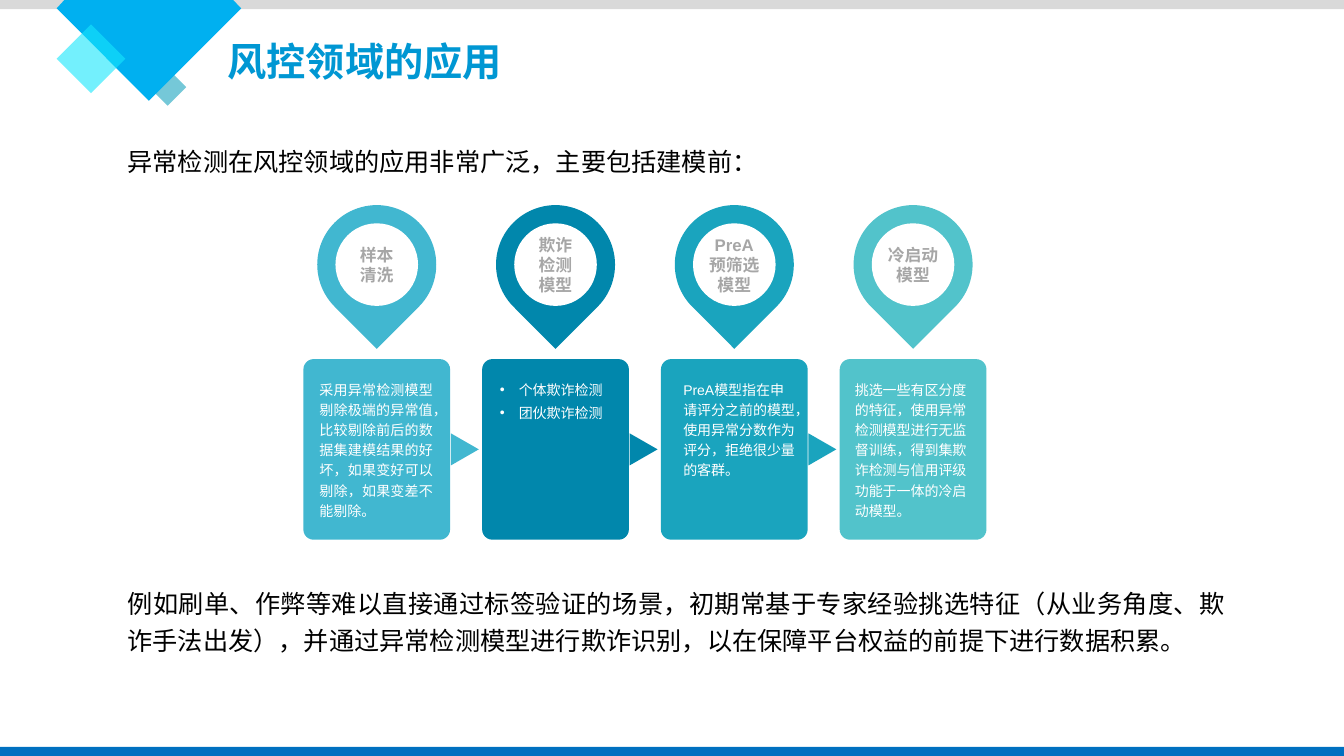
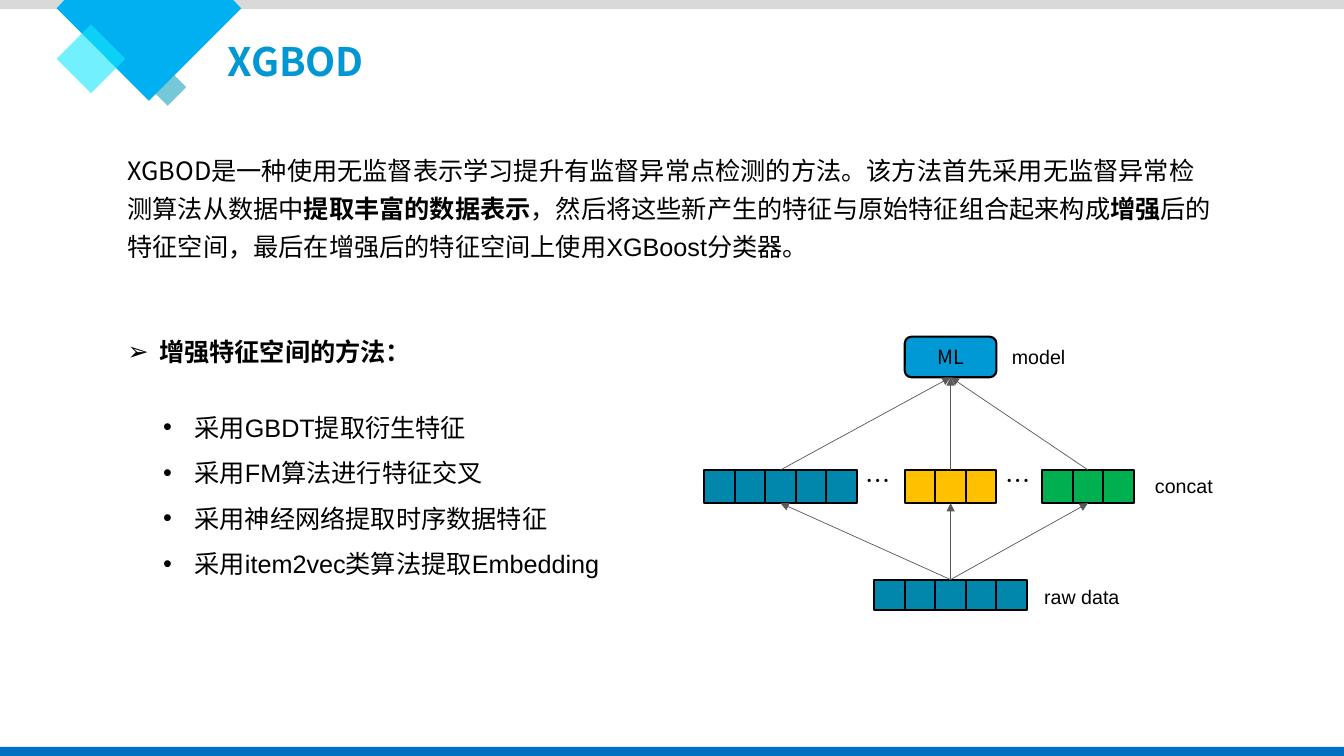
from lxml.etree import SubElement
from pptx import Presentation
from pptx.dml.color import RGBColor
from pptx.enum.shapes import MSO_CONNECTOR, MSO_SHAPE
from pptx.enum.text import MSO_ANCHOR, PP_ALIGN
from pptx.oxml.ns import qn
from pptx.util import Pt

WIDTH, HEIGHT = 960, 540
BAND_HEIGHT = 6.5
CJK, LATIN = "Noto Sans CJK SC", "Arial"

BLACK = RGBColor(0x00, 0x00, 0x00)
WHITE = RGBColor(0xFF, 0xFF, 0xFF)
LIGHT_GREY = RGBColor(0xD9, 0xD9, 0xD9)
LABEL_GREY = RGBColor(0xA6, 0xA6, 0xA6)
ARROW_GREY = RGBColor(0x59, 0x59, 0x59)
TITLE_BLUE = RGBColor(0x00, 0x97, 0xD3)
MODEL_BLUE = RGBColor(0x00, 0x99, 0xD5)
FOOTER_BLUE = RGBColor(0x00, 0x70, 0xC0)
CORNER_BLUE = RGBColor(0x00, 0xB0, 0xF0)
CYAN = RGBColor(0x16, 0xE6, 0xFC)
SKY = RGBColor(0x41, 0xB7, 0xD0)
DEEP = RGBColor(0x01, 0x87, 0xAC)
TEAL = RGBColor(0x1A, 0xA4, 0xBE)
MINT = RGBColor(0x52, 0xC3, 0xCB)
YELLOW = RGBColor(0xFF, 0xC0, 0x00)
GREEN = RGBColor(0x00, 0xB0, 0x50)

# Slide 1
INTRO = "异常检测在风控领域的应用非常广泛，主要包括建模前："
EXAMPLE = ("例如刷单、作弊等难以直接通过标签验证的场景，初期常基于专家经验挑选特征"
           "（从业务角度、欺诈手法出发），并通过异常检测模型进行欺诈识别，"
           "以在保障平台权益的前提下进行数据积累。")
STAGES = [
    dict(color=SKY, label=["样本", "清洗"], inset=11.5, width=81, align=PP_ALIGN.JUSTIFY,
         detail=["采用异常检测模型剔除极端的异常值，比较剔除前后的数据集建模结果的好坏，"
                 "如果变好可以剔除，如果变差不能剔除。"]),
    dict(color=DEEP, label=["欺诈", "检测", "模型"], inset=12.7, width=86.4,
         align=PP_ALIGN.JUSTIFY, bullet="•", detail=["个体欺诈检测", "团伙欺诈检测"]),
    dict(color=TEAL, label=["PreA", "预筛选模型"], inset=16, width=80.5,
         detail=["PreA模型指在申请评分之前的模型，使用异常分数作为评分，拒绝很少量的客群。"]),
    dict(color=MINT, label=["冷启动模型"], inset=10.8, width=85.7,
         detail=["挑选一些有区分度的特征，使用异常检测模型进行无监督训练，"
                 "得到集欺诈检测与信用评级功能于一体的冷启动模型。"]),
]
CARD_LEFT, CARD_STEP, CARD_TOP = 216.7, 127.7, 256.5
CARD_WIDTH, CARD_HEIGHT = 104.8, 129
PIN_SIZE, HOLE_SIZE, PIN_MIDDLE = 85, 59, 189
ARROW_BASE, ARROW_DEPTH = 23, 20

# Slide 2: (text, font, bold)
SUMMARY = [
    ("XGBOD", CJK, False),
    ("是一种使用无监督表示学习提升有监督异常点检测的方法。"
     "该方法首先采用无监督异常检测算法从数据中", LATIN, False),
    ("提取丰富的数据表示", LATIN, True),
    ("，然后将这些新产生的特征与原始特征组合起来构成", LATIN, False),
    ("增强", LATIN, True),
    ("后的特征空间，最后在增强后的特征空间上使用XGBoost分类器。", LATIN, False),
]
METHODS = ["采用GBDT提取衍生特征", "采用FM算法进行特征交叉",
           "采用神经网络提取时序数据特征", "采用item2vec类算法提取Embedding"]
HUB = 679
FEATURES = [(557.5, 5, DEEP), (HUB, 3, YELLOW), (777.2, 3, GREEN)]  # centre, cells, colour
CELL = 21.8
MODEL_TOP, MODEL_WIDTH, MODEL_HEIGHT = 240.5, 65.5, 29
FEATURE_TOP, FEATURE_HEIGHT = 335.7, 23.7
RAW_TOP, RAW_HEIGHT = 414, 22
CAPTIONS = [("model", 715.7, 242.6), ("concat", 817.9, 334.8), ("raw data", 738.7, 414)]
ELLIPSES = [611.3, 711.4]


def set_bullet(para, char, indent):
    props = para._p.get_or_add_pPr()
    props.set("marL", str(Pt(indent)))
    props.set("indent", str(-Pt(indent)))
    SubElement(props, qn("a:buFont"), typeface=LATIN)
    SubElement(props, qn("a:buChar"), char=char)


def write(frame, paragraphs, size=18, font=LATIN, color=BLACK, bold=False, align=None,
          line=None, gap=0, bullet=None, indent=22.5, margins=(7.2, 3.6),
          anchor=MSO_ANCHOR.TOP, wrap=True):
    """Fill a text frame; a paragraph is a string or a list of (text, font, bold)."""
    frame.word_wrap = wrap
    frame.vertical_anchor = anchor
    frame.margin_left = frame.margin_right = Pt(margins[0])
    frame.margin_top = frame.margin_bottom = Pt(margins[1])
    for index, spans in enumerate(paragraphs):
        para = frame.paragraphs[0] if index == 0 else frame.add_paragraph()
        if bullet:
            set_bullet(para, bullet, indent)
        if align is not None:
            para.alignment = align
        if line:
            para.line_spacing = line
        if gap and index:
            para.space_before = Pt(gap)
        if isinstance(spans, str):
            spans = [(spans, font, bold)]
        for text, typeface, heavy in spans:
            span = para.add_run()
            span.text = text
            span.font.size = Pt(size)
            span.font.name = typeface
            span.font.bold = heavy
            span.font.color.rgb = color
            SubElement(span._r.get_or_add_rPr(), qn("a:ea"), typeface=CJK)


def add_text(page, left, top, width, height, paragraphs, **style):
    box = page.shapes.add_textbox(Pt(left), Pt(top), Pt(width), Pt(height))
    write(box.text_frame, paragraphs, **style)


def paint(shape, fill, outline=None, opacity=None):
    shape.shadow.inherit = False
    shape.fill.solid()
    shape.fill.fore_color.rgb = fill
    if opacity:
        color = shape._element.spPr.find(qn("a:solidFill"))[0]
        SubElement(color, qn("a:alpha"), val=str(opacity * 1000))
    if outline is None:
        shape.line.fill.background()
    else:
        shape.line.color.rgb = outline
        shape.line.width = Pt(1.5)


def add_shape(page, kind, left, top, width, height, fill, rotation=0, **look):
    shape = page.shapes.add_shape(kind, Pt(left), Pt(top), Pt(width), Pt(height))
    shape.rotation = rotation
    paint(shape, fill, **look)
    return shape


def add_centred(page, kind, x, y, width, height, fill, **look):
    return add_shape(page, kind, x - width / 2, y - height / 2, width, height, fill, **look)


def add_arrow(page, start, end):
    arrow = page.shapes.add_connector(MSO_CONNECTOR.STRAIGHT, *map(Pt, start + end))
    arrow.line.color.rgb = ARROW_GREY
    arrow.line.width = Pt(0.5)
    SubElement(arrow.line._get_or_add_ln(), qn("a:tailEnd"), type="triangle")
    SubElement(arrow._element.spPr, qn("a:effectLst"))


def add_page(deck, title):
    """Add a blank page with the shared bands, corner diamonds and title."""
    page = deck.slides.add_slide(deck.slide_layouts[6])
    add_shape(page, MSO_SHAPE.DIAMOND, 106.5, 49, 26.5, 26.5, TEAL, opacity=60)
    add_shape(page, MSO_SHAPE.RECTANGLE, 0, 0, WIDTH, BAND_HEIGHT, LIGHT_GREY)
    corner = page.shapes.build_freeform(Pt(46), 0)
    corner.add_line_segments([(Pt(x), Pt(y)) for x, y in
                              [(166.5, 0), (172.3, 6), (106.4, 72), (40.5, 6)]])
    paint(corner.convert_to_shape(), CORNER_BLUE)
    add_shape(page, MSO_SHAPE.DIAMOND, 40.5, 17.5, 49, 49, CYAN, opacity=60)
    add_shape(page, MSO_SHAPE.RECTANGLE, 0, HEIGHT - BAND_HEIGHT, WIDTH, BAND_HEIGHT,
              FOOTER_BLUE)
    add_text(page, 159, 23, 400, 41, [title], size=28, font=CJK, color=TITLE_BLUE,
             bold=True, margins=(3.6, 3.6))
    return page


def add_stage(page, left, stage, has_next):
    color, middle = stage["color"], left + CARD_WIDTH / 2
    card = add_shape(page, MSO_SHAPE.ROUNDED_RECTANGLE, left, CARD_TOP,
                     CARD_WIDTH, CARD_HEIGHT, color)
    card.adjustments[0] = 0.07
    add_text(page, left + stage["inset"], 270, stage["width"], 101, stage["detail"],
             size=10, color=WHITE, align=stage.get("align"), line=1.2, gap=2,
             bullet=stage.get("bullet"), indent=13.5, margins=(0, 0))
    if has_next:
        add_centred(page, MSO_SHAPE.ISOSCELES_TRIANGLE,
                    left + CARD_WIDTH + 0.5 + ARROW_DEPTH / 2, CARD_TOP + CARD_HEIGHT / 2,
                    ARROW_BASE, ARROW_DEPTH, color, rotation=90)
    add_centred(page, MSO_SHAPE.TEAR, middle, PIN_MIDDLE, PIN_SIZE, PIN_SIZE, color,
                rotation=135)
    hole = add_centred(page, MSO_SHAPE.OVAL, middle, PIN_MIDDLE, HOLE_SIZE, HOLE_SIZE, WHITE)
    write(hole.text_frame, stage["label"], size=12, color=LABEL_GREY, bold=True,
          align=PP_ALIGN.CENTER, margins=(0, 0), anchor=MSO_ANCHOR.MIDDLE)


def add_cells(page, centre, top, height, count, color):
    left = centre - count * CELL / 2
    for index in range(count):
        add_shape(page, MSO_SHAPE.RECTANGLE, left + index * CELL, top, CELL, height, color,
                  outline=BLACK)


def build_applications(deck):
    page = add_page(deck, "风控领域的应用")
    body = dict(font=CJK, align=PP_ALIGN.JUSTIFY, line=1.25)
    add_text(page, 84, 95.8, 794, 32, [INTRO], **body)
    add_text(page, 84, 411, 798.5, 60, [EXAMPLE], **body)
    for index, stage in enumerate(STAGES):
        add_stage(page, CARD_LEFT + index * CARD_STEP, stage, index < len(STAGES) - 1)


def build_xgbod(deck):
    page = add_page(deck, "XGBOD")
    add_text(page, 84, 102.2, 790, 86, [SUMMARY], line=1.25)
    add_text(page, 84, 237, 480, 29, ["增强特征空间的方法："], font=CJK, bold=True, bullet="➢")
    add_text(page, 109.4, 280, 329, 134, METHODS, line=1.5, bullet="•")

    add_cells(page, HUB, RAW_TOP, RAW_HEIGHT, 5, DEEP)
    model = add_shape(page, MSO_SHAPE.ROUNDED_RECTANGLE, HUB - MODEL_WIDTH / 2, MODEL_TOP,
                      MODEL_WIDTH, MODEL_HEIGHT, MODEL_BLUE, outline=BLACK)
    write(model.text_frame, ["ML"], size=14, font=CJK, align=PP_ALIGN.CENTER,
          anchor=MSO_ANCHOR.MIDDLE)
    for centre, count, color in FEATURES:
        add_cells(page, centre, FEATURE_TOP, FEATURE_HEIGHT, count, color)
        add_arrow(page, (HUB, RAW_TOP), (centre, FEATURE_TOP + FEATURE_HEIGHT))
        add_arrow(page, (centre, FEATURE_TOP), (HUB, MODEL_TOP + MODEL_HEIGHT))
    for left in ELLIPSES:
        add_text(page, left, 329, 32.4, 29, ["…"], font=CJK, wrap=False)
    for caption, left, top in CAPTIONS:
        add_text(page, left, top, 70, 24.5, [caption], size=14)


def main():
    deck = Presentation()
    deck.slide_width, deck.slide_height = Pt(WIDTH), Pt(HEIGHT)
    build_applications(deck)
    build_xgbod(deck)
    deck.save("out.pptx")


if __name__ == "__main__":
    main()
